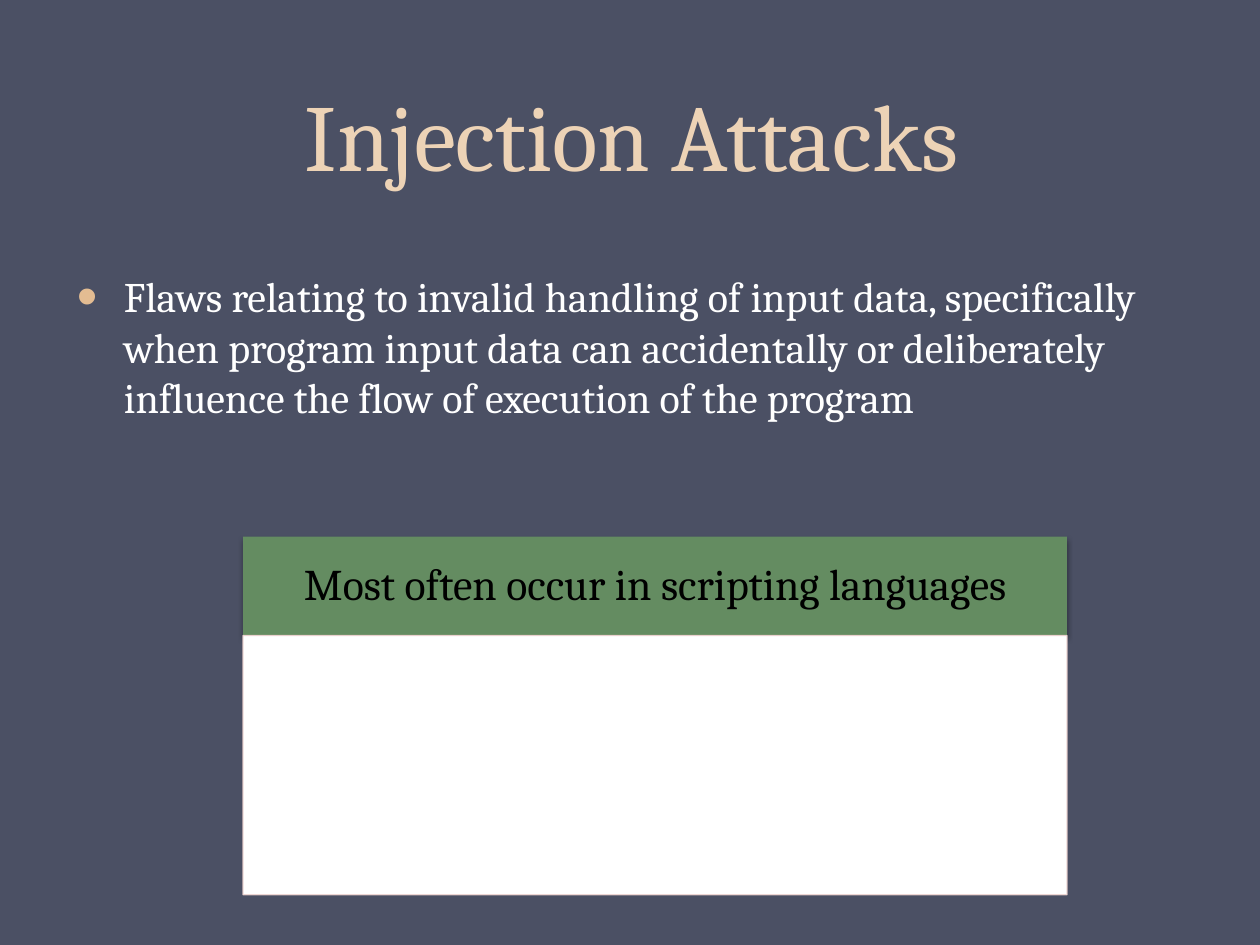
from lxml import etree
from pptx import Presentation
from pptx import util as u
from pptx.dml.color import RGBColor
from pptx.enum import shapes, text
from pptx.oxml import ns

SLATE = RGBColor(0x4B, 0x50, 0x64)
SAND = RGBColor(0xED, 0xD3, 0xB6)
AMBER = RGBColor(0xE3, 0xBC, 0x92)
GREEN = RGBColor(0x64, 0x8C, 0x61)
ROSE = RGBColor(0xEE, 0xD3, 0xD0)
WHITE = RGBColor(0xFF, 0xFF, 0xFF)
BLACK = RGBColor(0x00, 0x00, 0x00)


def add_node(parent, tag, **attributes):
    return etree.SubElement(parent, ns.qn(tag), attributes)


class SlideBuilder:
    font_name = "Cambria"
    side_inset, top_inset = 0.25, 0.13

    def __init__(self, page):
        self.page = page
        page.background.fill.solid()
        page.background.fill.fore_color.rgb = SLATE

    def text_box(self, parent, area, words, size, color, anchor, align,
                 inset_scale=1, line_spacing=None, bullet=False):
        box = parent.shapes.add_textbox(*map(u.Cm, area))
        frame = box.text_frame
        frame.word_wrap = True
        frame.vertical_anchor = anchor
        frame.margin_left = frame.margin_right = u.Cm(self.side_inset * inset_scale)
        frame.margin_top = frame.margin_bottom = u.Cm(self.top_inset * inset_scale)
        para = frame.paragraphs[0]
        para.text = words
        para.alignment = align
        para.line_spacing = line_spacing
        if bullet:
            self.bullet(para)
        para.font.name = self.font_name
        para.font.size = u.Pt(size)
        para.font.color.rgb = color

    def bullet(self, para):
        properties = para._p.get_or_add_pPr()
        indent = u.Cm(0.95)
        properties.set("marL", str(indent))
        properties.set("indent", str(-indent))
        add_node(add_node(properties, "a:buClr"), "a:srgbClr", val=str(AMBER))
        add_node(properties, "a:buSzPct", val="140000")
        add_node(properties, "a:buFont", typeface="Arial")
        add_node(properties, "a:buChar", char="•")

    def panel(self, parent, area, fill, line=None, shadow=False):
        box = parent.shapes.add_shape(shapes.MSO_SHAPE.RECTANGLE, *map(u.Cm, area))
        box.shadow.inherit = False
        box.fill.solid()
        box.fill.fore_color.rgb = fill
        if line is None:
            box.line.fill.background()
        else:
            box.line.color.rgb = line
            box.line.width = u.Pt(0.75)
            tint = box.line._ln.find(".//" + ns.qn("a:srgbClr"))
            add_node(tint, "a:alpha", val="90000")
        if shadow:
            effects = box._element.spPr.find(ns.qn("a:effectLst"))
            outer = add_node(effects, "a:outerShdw", blurRad=str(u.Pt(3.1)),
                             dist=str(u.Pt(1.8)), dir="5400000", rotWithShape="0")
            tint = add_node(outer, "a:srgbClr", val=str(BLACK))
            add_node(tint, "a:alpha", val="35000")


def main():
    deck = Presentation()
    deck.slide_width, deck.slide_height = u.Cm(25.4), u.Cm(19.05)
    page = deck.slides.add_slide(deck.slide_layouts[6])
    builder = SlideBuilder(page)
    top, middle, bottom = (text.MSO_ANCHOR.TOP, text.MSO_ANCHOR.MIDDLE,
                           text.MSO_ANCHOR.BOTTOM)
    left, center = text.PP_ALIGN.LEFT, text.PP_ALIGN.CENTER

    builder.text_box(page, (1.3, -0.48, 22.86, 4.45), "Injection Attacks", 54, SAND,
                     bottom, center, line_spacing=u.Pt(58))
    builder.text_box(
        page, (1.3, 5.33, 22.86, 5.72),
        "Flaws relating to invalid handling of input data, specifically when program "
        "input data can accidentally or deliberately influence the flow of execution "
        "of the program", 24, WHITE, top, left, bullet=True)

    card = page.shapes.add_group_shape()
    card_left, card_top, card_width, header_height = 4.9, 10.82, 16.61, 1.99
    header = (card_left, card_top, card_width, header_height)
    body = (card_left, card_top + header_height, card_width, 5.23)
    builder.panel(card, header, GREEN, shadow=True)
    builder.text_box(card, header, "Most often occur in scripting languages", 25, BLACK,
                     middle, center, inset_scale=2, line_spacing=0.9)
    builder.panel(card, body, WHITE, line=ROSE)

    deck.save("out.pptx")


if __name__ == "__main__":
    main()
